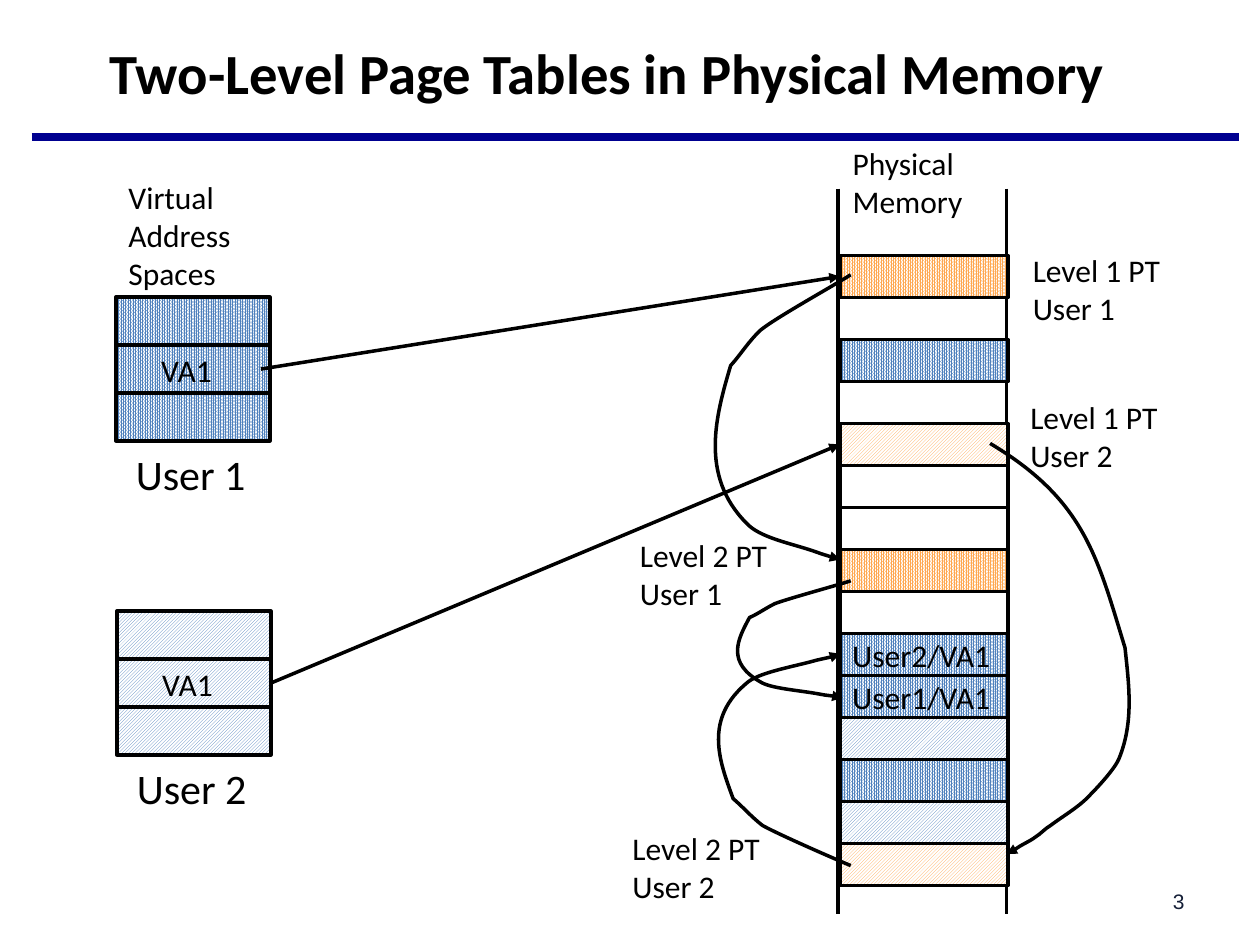
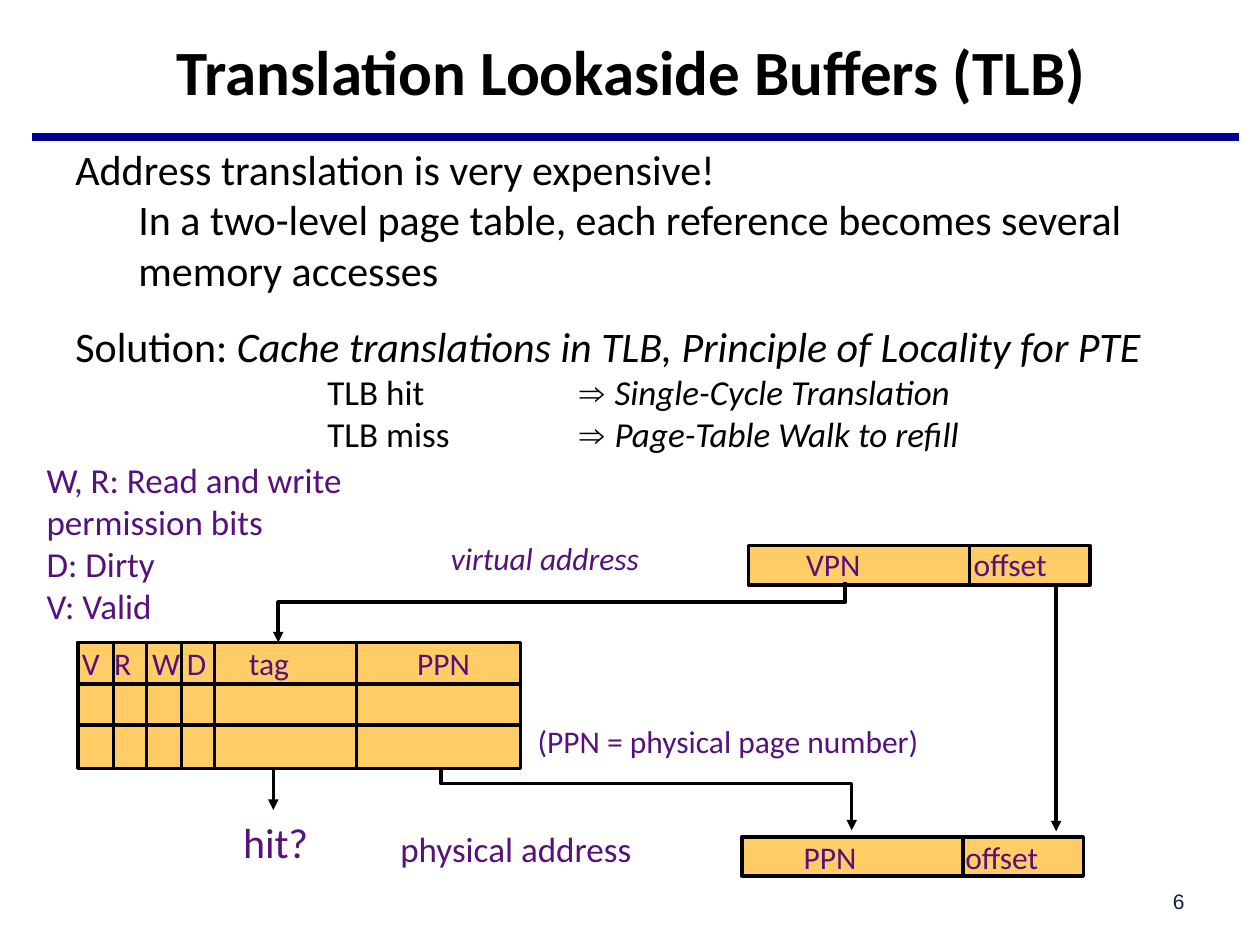
"""Build two lecture slides about page tables and translation lookaside buffers."""
import dataclasses
import typing

import pptx
import pptx.dml.color
import pptx.enum.dml
import pptx.enum.shapes
import pptx.enum.text
import pptx.oxml
import pptx.oxml.ns
import pptx.util
import lxml.etree

Cm = pptx.util.Cm
Pt = pptx.util.Pt
qn = pptx.oxml.ns.qn
Anchor = pptx.enum.text.MSO_ANCHOR
Align = pptx.enum.text.PP_ALIGN
Pattern = pptx.enum.dml.MSO_PATTERN_TYPE
Point = tuple[float, float]

COLORS = {
    "black": "000000", "white": "FFFFFF", "rule": "000090", "number": "151F37",
    "blue": "4F81BD", "orange": "FFA74F", "gold": "FFCC66", "purple": "56127A",
}
DOTS = Pattern.PERCENT_90
STRIPES = Pattern.DARK_UPWARD_DIAGONAL

MEMORY_LEFT, MEMORY_TOP, MEMORY_WIDTH = 16.93, 5.15, 3.39
ROW_HEIGHT = 12.7 / 15
USER_WIDTH, USER_HEIGHT = 3.1, 2.9


@dataclasses.dataclass
class Label:
    """Text box with one style; line breaks separate paragraphs."""
    text: str
    x: float
    y: float
    w: float
    h: float
    size: float = 18
    color: str = "black"
    font: str = "Calibri"
    italic: bool = False
    wrap: bool = True
    grow: bool = True
    anchor: typing.Any = Anchor.TOP
    align: typing.Any = Align.LEFT
    tabs: tuple[float, ...] = ()


@dataclasses.dataclass
class Block:
    """Filled and outlined rectangle."""
    x: float
    y: float
    w: float
    h: float
    color: str = "white"
    pattern: typing.Any = None
    text: str = ""


@dataclasses.dataclass
class Frame:
    """Memory frame at a row of the physical memory column."""
    row: int
    color: str = "white"
    pattern: typing.Any = None
    text: str = ""


@dataclasses.dataclass
class User:
    """Virtual address space of one user."""
    name: str
    x: float
    y: float
    pattern: typing.Any


FRAMES = [
    Frame(0, "orange", DOTS), Frame(2, "blue", DOTS), Frame(4, "orange", STRIPES),
    Frame(5), Frame(6), Frame(7, "orange", DOTS), Frame(8),
    Frame(9, "blue", DOTS, "User2/VA1"), Frame(10, "blue", DOTS, "User1/VA1"),
    Frame(11, "blue", STRIPES), Frame(12, "blue", DOTS), Frame(13, "blue", STRIPES),
    Frame(14, "orange", STRIPES),
]
USERS = [User("User 1", 2.34, 5.99, DOTS), User("User 2", 2.36, 12.32, STRIPES)]
MEMORY_LABELS = [
    Label("Virtual Address Spaces", 2.34, 3.45, 3.23, 2.57, anchor=Anchor.MIDDLE),
    Label("Physical Memory", 16.94, 2.77, 3.23, 1.8, anchor=Anchor.MIDDLE),
    Label("Level 1 PT User 1", 20.57, 4.93, 3.99, 1.78),
    Label("Level 1 PT User 2", 20.52, 7.9, 3.99, 1.78),
    Label("Level 2 PT User 1", 12.65, 10.69, 4.01, 1.78),
    Label("Level 2 PT User 2", 12.5, 16.59, 4.01, 1.78),
]
POINTER_CURVES = [
    [(19.96, 8.94), (21.87, 10.08), (22.12, 11.23), (22.68, 13.06),
     (22.76, 13.82), (22.86, 14.55), (22.56, 15.29), (22.48, 15.49), (22.15, 15.85), (22, 16),
     (21.77, 16.26), (21.46, 16.43), (21.18, 16.64), (21.06, 16.71), (20.98, 16.81), (20.88, 16.87),
     (20.75, 16.97), (20.6, 17.02), (20.47, 17.12), (20.4, 17.15), (20.29, 17.22), (20.29, 17.22)],
    [(17.15, 5.54), (16.79, 5.77), (15.65, 6.4), (15.34, 6.65),
     (15.09, 6.88), (14.94, 7.14), (14.73, 7.37), (14.43, 8.38), (14.1, 9.58), (15.04, 10.54),
     (15.32, 10.85), (15.95, 10.95), (16.46, 11.13), (16.59, 11.18), (16.69, 11.2), (16.81, 11.25),
     (16.87, 11.25), (16.94, 11.28), (16.94, 11.28)],
    [(17.15, 17.45), (16.79, 17.3), (15.67, 16.81), (15.37, 16.64),
     (15.14, 16.46), (14.99, 16.28), (14.78, 16.1), (14.5, 15.34), (14.17, 14.48), (15.09, 13.74),
     (15.37, 13.54), (16, 13.44), (16.46, 13.31), (16.59, 13.28), (16.69, 13.26), (16.81, 13.23),
     (16.87, 13.21), (16.94, 13.18), (16.94, 13.18)],
    [(17.15, 11.71), (16.84, 11.81), (15.88, 12.07), (15.62, 12.17),
     (15.42, 12.27), (15.29, 12.37), (15.11, 12.45), (14.88, 12.88), (14.61, 13.36), (15.37, 13.77),
     (15.62, 13.89), (16.15, 13.92), (16.56, 14), (16.66, 14.02), (16.76, 14.02), (16.87, 14.05),
     (16.92, 14.05), (16.99, 14.07), (16.99, 14.07)],
]

TLB = Block(1.57, 12.95, 8.92, 2.54, "gold")
TLB_COLUMNS = [2.29, 2.95, 3.66, 4.32, 7.19]
TLB_ROWS = [13.79, 14.61]
ADDRESSES = [Block(15.09, 11, 6.88, 0.79, "gold"), Block(14.96, 16.87, 6.88, 0.79, "gold")]
OFFSET_START = 4.45
TLB_LABELS = [
    Label("VPN\toffset", 16, 10.87, 5.64, 1.02, color="purple", tabs=(3.38,)),
    Label("PPN\toffset", 15.95, 16.76, 5.6, 1.02, color="purple", tabs=(3.26,)),
    Label("V\tR\tW\tD\ttag\tPPN", 1.4, 12.85, 8.71, 1.02, color="purple",
          tabs=(0.65, 1.42, 2.12, 3.37, 6.76)),
    Label("virtual address", 8.84, 10.74, 4.5, 1.02, color="purple", italic=True, wrap=False),
    Label("physical address", 7.82, 16.56, 5.23, 1.09, 20, "purple", wrap=False),
    Label("hit?", 4.65, 16.33, 1.83, 1.27, 24, "purple", wrap=False),
    Label("W, R: Read and write\npermission bits\nD: Dirty\nV: Valid",
          0.69, 9.12, 6.53, 3.68, 20, "purple", wrap=False),
    Label("(PPN = physical page number)", 10.59, 14.43, 8.31, 1.02, color="purple", wrap=False),
]


def rgb(name: str) -> pptx.dml.color.RGBColor:
    """Look up a palette colour."""
    return pptx.dml.color.RGBColor.from_string(COLORS[name])


def add_run(p, text: str, size: float, color: str = "black", font: str = "Calibri",
            bold: bool = False, italic: bool = False) -> None:
    """Append one formatted run."""
    r = p.add_run()
    r.text = text
    r.font.size, r.font.name = Pt(size), font
    r.font.bold, r.font.italic = bold, italic
    r.font.color.rgb = rgb(color)


def set_tabs(p, stops: typing.Sequence[float]) -> None:
    """Give a paragraph left tab stops."""
    tabs = lxml.etree.SubElement(p._p.get_or_add_pPr(), qn("a:tabLst"))
    for stop in stops:
        lxml.etree.SubElement(tabs, qn("a:tab"), pos=str(int(Cm(stop))), algn="l")


def add_label(slide, label: Label):
    """Draw a text box and return its text frame."""
    sp = slide.shapes.add_textbox(Cm(label.x), Cm(label.y), Cm(label.w), Cm(label.h))
    tf = sp.text_frame
    tf.word_wrap, tf.vertical_anchor = label.wrap, label.anchor
    if label.grow:
        tf.auto_size = pptx.enum.text.MSO_AUTO_SIZE.SHAPE_TO_FIT_TEXT
    for i, text in enumerate(label.text.split("\n")):
        p = tf.add_paragraph() if i else tf.paragraphs[0]
        p.alignment = label.align
        if label.tabs:
            set_tabs(p, label.tabs)
        add_run(p, text, label.size, label.color, label.font, italic=label.italic)
    return tf


def style_line(sp, arrow: bool, color: str = "black", width: float = 2) -> None:
    """Set a line's colour, width and arrowhead."""
    sp.line.color.rgb, sp.line.width = rgb(color), Pt(width)
    if arrow:
        lxml.etree.SubElement(sp.line._get_or_add_ln(), qn("a:tailEnd"), type="triangle")


def add_line(slide, start: Point, end: Point, arrow: bool = False,
             color: str = "black", width: float = 2):
    """Draw a straight connector."""
    sp = slide.shapes.add_connector(pptx.enum.shapes.MSO_CONNECTOR.STRAIGHT,
                                    *map(Cm, start + end))
    style_line(sp, arrow, color, width)
    lxml.etree.SubElement(sp._element.spPr, qn("a:effectLst"))
    return sp


def add_arrow_route(slide, points: list[Point], curved: bool = False) -> None:
    """Draw an open arrow through corners or along Bezier control points."""
    route = [(Cm(x), Cm(y)) for x, y in points]
    builder = slide.shapes.build_freeform(*route[0])
    builder.add_line_segments(route[1:], close=False)
    sp = builder.convert_to_shape()
    sp.shadow.inherit = False
    sp.fill.background()
    style_line(sp, arrow=True)
    if curved:
        segments = list(sp._element.iter(qn("a:lnTo")))
        geometry = segments[0].getparent()
        for i in range(0, len(segments), 3):
            bezier = lxml.etree.SubElement(geometry, qn("a:cubicBezTo"))
            for segment in segments[i:i + 3]:
                bezier.append(segment[0])
                geometry.remove(segment)


def add_block(slide, block: Block):
    """Draw a rectangle with a solid or patterned fill."""
    sp = slide.shapes.add_shape(pptx.enum.shapes.MSO_SHAPE.RECTANGLE,
                                Cm(block.x), Cm(block.y), Cm(block.w), Cm(block.h))
    sp.shadow.inherit = False
    if block.pattern:
        sp.fill.patterned()
        sp.fill.pattern = block.pattern
        sp.fill.fore_color.rgb, sp.fill.back_color.rgb = rgb(block.color), rgb("white")
    else:
        sp.fill.solid()
        sp.fill.fore_color.rgb = rgb(block.color)
    style_line(sp, arrow=False)
    if block.text:
        tf = sp.text_frame
        tf.word_wrap, tf.vertical_anchor = False, Anchor.MIDDLE
        tf.paragraphs[0].alignment = Align.LEFT
        add_run(tf.paragraphs[0], block.text, 18)
    return sp


def add_slide(prs, title: str, size: float, box: tuple[float, ...], number: int):
    """Add a slide with its title, rule and number."""
    slide = prs.slides.add_slide(prs.slide_layouts[5])
    add_line(slide, (0.64, 2.77), (24.97, 2.77), color="rule", width=4.5)
    sp = slide.shapes.title
    sp.left, sp.top, sp.width, sp.height = map(Cm, box)
    tf = sp.text_frame
    tf.auto_size = pptx.enum.text.MSO_AUTO_SIZE.NONE
    tf.vertical_anchor = Anchor.MIDDLE
    tf.paragraphs[0].alignment = Align.CENTER
    add_run(tf.paragraphs[0], title, size, bold=True)
    add_label(slide, Label(str(number), 18.21, 17.65, 5.92, 1.02, 12, "number", "Arial",
                           grow=False, anchor=Anchor.MIDDLE, align=Align.RIGHT))
    return slide


def add_user(slide, user: User):
    """Draw a three-page address space and return its outline."""
    sp = add_block(slide, Block(user.x, user.y, USER_WIDTH, USER_HEIGHT, "blue", user.pattern))
    for page in (1, 2):
        y = user.y + page * USER_HEIGHT / 3
        add_line(slide, (user.x, y), (user.x + USER_WIDTH, y))
    add_label(slide, Label("VA1", user.x + 0.66, user.y + 0.96, 1.57, 1.02, wrap=False))
    add_label(slide, Label(user.name, user.x + 0.15, user.y + 2.92, 2.74, 1.27, 24, wrap=False))
    return sp


def build_memory_slide(prs) -> None:
    """Show both users' page tables in physical memory."""
    slide = add_slide(prs, "Two-Level Page Tables in Physical Memory", 32.4,
                      (1.07, 0.2, 22.33, 2.51), 3)
    spaces = [add_user(slide, user) for user in USERS]
    for x in (16.89, 20.29):
        add_line(slide, (x, 3.8), (x, 18.42))
    frames = {f.row: add_block(slide, Block(MEMORY_LEFT, MEMORY_TOP + f.row * ROW_HEIGHT,
                                            MEMORY_WIDTH, ROW_HEIGHT, f.color, f.pattern, f.text))
              for f in FRAMES}
    add_line(slide, (5.26, 7.44), (16.93, 5.57), arrow=True).end_connect(frames[0], 1)
    pointer = add_line(slide, (5.46, 13.77), (16.93, 8.96), arrow=True)
    pointer.begin_connect(spaces[1], 3)
    pointer.end_connect(frames[4], 1)
    for curve in POINTER_CURVES:
        add_arrow_route(slide, curve, curved=True)
    for label in MEMORY_LABELS:
        add_label(slide, label)


def build_tlb_slide(prs) -> None:
    """Explain the TLB and show a lookup."""
    slide = add_slide(prs, "Translation Lookaside Buffers (TLB)", 36,
                      (1.3, 0.43, 22.86, 1.98), 6)
    tf = add_label(slide, Label("Address translation is very expensive!",
                                1.27, 2.77, 23.06, 6.76, 24))
    p = tf.add_paragraph()
    p._p.get_or_add_pPr().set("marL", str(int(Cm(1.27))))
    add_run(p, "In a two-level page table, each reference becomes several memory accesses", 24)
    p = tf.add_paragraph()
    p.space_before = Pt(14.5)
    add_run(p, "Solution: ", 24)
    add_run(p, "Cache translations in TLB, Principle of Locality for PTE", 24, italic=True)
    for event, result in (("hit", "Single-Cycle Translation"), ("miss", "Page-Table Walk to refill")):
        p = tf.add_paragraph()
        set_tabs(p, (5.08, 10.16))
        add_run(p, f"\tTLB {event}\t", 20)
        add_run(p, "⇒ ", 20, font="Arial")
        add_run(p, result, 20, italic=True)

    add_block(slide, TLB)
    for x in TLB_COLUMNS:
        add_line(slide, (x, TLB.y), (x, TLB.y + TLB.h))
    for y in TLB_ROWS:
        add_line(slide, (TLB.x, y), (TLB.x + TLB.w, y))
    for address in ADDRESSES:
        add_block(slide, address)
        x = address.x + OFFSET_START
        add_line(slide, (x, address.y), (x, address.y + address.h))
    add_line(slide, (21.29, 11.76), (21.29, 16.76), arrow=True)
    add_line(slide, (5.51, 15.49), (5.51, 16.33), arrow=True)
    add_arrow_route(slide, [(17.04, 11.73), (17.04, 12.14), (5.61, 12.14), (5.61, 12.95)])
    add_arrow_route(slide, [(8.89, 15.49), (8.89, 15.8), (17.17, 15.8), (17.17, 16.74)])
    for label in TLB_LABELS:
        add_label(slide, label)


def main() -> None:
    """Build and save the presentation."""
    prs = pptx.Presentation()
    prs.slide_width, prs.slide_height = Cm(25.4), Cm(19.05)
    build_memory_slide(prs)
    build_tlb_slide(prs)
    prs.save("out.pptx")


if __name__ == "__main__":
    main()
